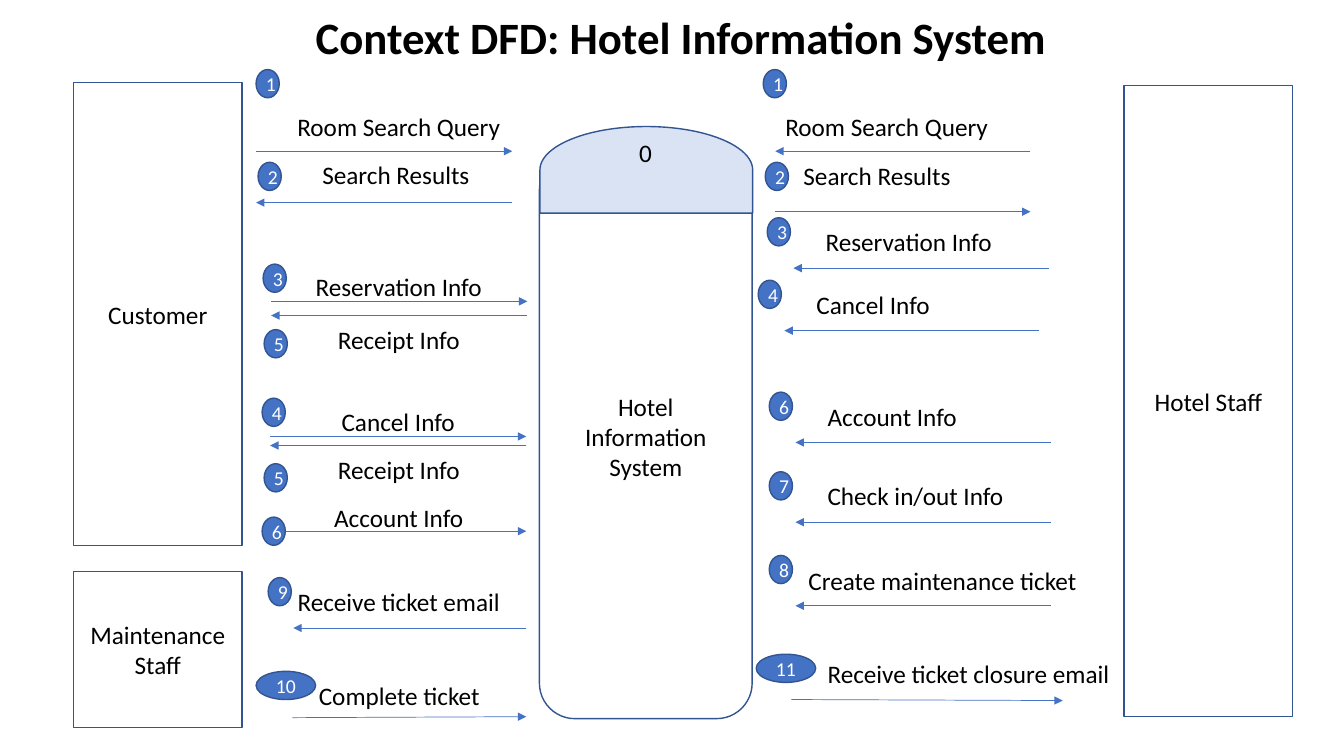
import dataclasses

import lxml.etree
import pptx
import pptx.dml.color
import pptx.enum.shapes
import pptx.enum.text
import pptx.oxml.ns
import pptx.util

Inches = pptx.util.Inches
RGBColor = pptx.dml.color.RGBColor
SHAPE = pptx.enum.shapes.MSO_SHAPE
ALIGN = pptx.enum.text.PP_ALIGN
ANCHOR = pptx.enum.text.MSO_ANCHOR
AUTO_SIZE = pptx.enum.text.MSO_AUTO_SIZE

BLACK = RGBColor(0x00, 0x00, 0x00)
WHITE = RGBColor(0xFF, 0xFF, 0xFF)
BLUE = RGBColor(0x44, 0x72, 0xC4)
PALE_BLUE = RGBColor(0xDA, 0xE3, 0xF3)
OUTLINE = RGBColor(0x32, 0x54, 0x91)

BODY = {"name": "Calibri", "size": pptx.util.Pt(18), "bold": False}
BADGE = BODY | {"size": pptx.util.Pt(14)}
TITLE = BODY | {"size": pptx.util.Pt(32), "bold": True}

Point = tuple[float, float]
Box = tuple[float, float, float, float]


@dataclasses.dataclass(frozen=True)
class Entity:
    name: str
    box: Box


@dataclasses.dataclass(frozen=True)
class Flow:
    number: int
    label: str
    badge: Point
    text: Point
    width: float
    start: Point
    end: Point
    wrap: bool = False


ENTITIES = [
    Entity("Customer", (0.73, 0.82, 1.67, 4.59)),
    Entity("Hotel Staff", (11.15, 0.85, 1.67, 6.26)),
    Entity("Maintenance\nStaff", (0.73, 5.67, 1.67, 1.55)),
]

# Flows between the system and the customer or maintenance staff
LEFT_FLOWS = [
    Flow(1, "Room Search Query", (2.54, 0.69), (2.59, 1.06), 2.73, (2.54, 1.5), (5.08, 1.5), True),
    Flow(2, "Search Results ", (2.56, 1.61), (2.78, 1.53), 2.35, (5.08, 2.01), (2.54, 2.01), True),
    Flow(3, "Reservation Info", (2.61, 2.62), (3.02, 2.64), 1.87, (2.69, 2.99), (5.23, 2.99)),
    Flow(5, "Receipt Info", (2.62, 3.27), (2.78, 3.17), 2.35, (5.23, 3.13), (2.69, 3.13), True),
    Flow(4, "Cancel Info", (2.6, 3.95), (3.28, 3.98), 1.34, (2.68, 4.33), (5.22, 4.33)),
    Flow(5, "Receipt Info", (2.62, 4.6), (2.78, 4.46), 2.35, (5.22, 4.42), (2.68, 4.42), True),
    Flow(6, "Account Info", (2.6, 5.13), (2.78, 4.93), 2.35, (2.68, 5.27), (5.22, 5.27), True),
    Flow(9, "Receive ticket email", (2.66, 5.73), (2.84, 5.77), 2.23, (5.22, 6.23), (2.91, 6.23)),
    Flow(10, "Complete ticket", (2.54, 6.66), (3.05, 6.7), 1.82, (2.9, 7.12), (5.22, 7.11)),
]

# Flows between the system and the hotel staff
RIGHT_FLOWS = [
    Flow(1, "Room Search Query", (7.57, 0.69), (7.69, 1.06), 2.73, (10.22, 1.5), (7.69, 1.5), True),
    Flow(2, "Search Results", (7.59, 1.61), (7.87, 1.54), 2.35, (7.69, 2.1), (10.22, 2.1), True),
    Flow(3, "Reservation Info", (7.61, 2.16), (8.09, 2.2), 1.87, (10.4, 2.66), (7.87, 2.66)),
    Flow(4, "Cancel Info", (7.52, 2.78), (8, 2.82), 1.34, (10.31, 3.28), (7.78, 3.28)),
    Flow(6, "Account Info", (7.63, 3.89), (8.11, 3.93), 1.5, (10.42, 4.39), (7.89, 4.39)),
    Flow(7, "Check in/out Info", (7.63, 4.68), (8.11, 4.72), 1.97, (10.42, 5.18), (7.89, 5.18)),
    Flow(8, "Create maintenance ticket", (7.63, 5.51), (7.92, 5.56), 2.89, (10.42, 6.01), (7.89, 6.01)),
    Flow(11, "Receive ticket closure email", (7.5, 6.49), (8.11, 6.48), 3.03, (7.85, 6.94), (10.54, 6.95)),
]


def write(tf, text: str, style: dict, color: RGBColor, align: ALIGN) -> None:
    tf.text = text
    for p in tf.paragraphs:
        p.alignment = align
        for r in p.runs:
            for key, value in style.items():
                setattr(r.font, key, value)
            r.font.color.rgb = color


def add_block(shapes, kind: SHAPE, box: Box, fill: RGBColor, text: str = "",
              style: dict = BODY, color: RGBColor = BLACK):
    sp = shapes.add_shape(kind, *map(Inches, box))
    sp.shadow.inherit = False
    sp.fill.solid()
    sp.fill.fore_color.rgb = fill
    sp.line.color.rgb = OUTLINE
    sp.line.width = pptx.util.Pt(1)
    sp.text_frame.vertical_anchor = ANCHOR.MIDDLE
    write(sp.text_frame, text, style, color, ALIGN.CENTER)
    return sp


def add_label(shapes, text: str, box: Box, align: ALIGN, wrap: bool = False) -> None:
    tf = shapes.add_textbox(*map(Inches, box)).text_frame
    tf.word_wrap = wrap
    tf.auto_size = AUTO_SIZE.SHAPE_TO_FIT_TEXT
    write(tf, text, BODY, BLACK, align)


def add_arrow(shapes, start: Point, end: Point) -> None:
    cx = shapes.add_connector(pptx.enum.shapes.MSO_CONNECTOR.STRAIGHT, *map(Inches, start + end))
    cx.line.color.rgb = BLUE
    cx.line.width = pptx.util.Pt(0.5)
    qn = pptx.oxml.ns.qn
    lxml.etree.SubElement(cx.line._get_or_add_ln(), qn("a:tailEnd"), type="triangle")
    lxml.etree.SubElement(cx._element.spPr, qn("a:effectLst"))


def add_flow(shapes, flow: Flow, align: ALIGN) -> None:
    add_label(shapes, flow.label, (*flow.text, flow.width, 0.4), align, flow.wrap)
    add_arrow(shapes, flow.start, flow.end)
    badge_width = 0.23 if flow.number < 10 else 0.59
    add_block(shapes, SHAPE.OVAL, (*flow.badge, badge_width, 0.28), BLUE,
              str(flow.number), BADGE, WHITE)


def add_title(s, text: str) -> None:
    title = s.shapes.title
    place = {"left": 3.03, "top": 0.05, "width": 7.51, "height": 0.64}
    for key, value in place.items():
        setattr(title, key, Inches(value))
    tf = title.text_frame
    tf.word_wrap = False
    tf.auto_size = AUTO_SIZE.NONE
    tf.vertical_anchor = ANCHOR.TOP
    write(tf, text, TITLE, BLACK, ALIGN.LEFT)


def add_system(s) -> None:
    shapes = s.shapes.add_group_shape().shapes
    add_block(shapes, SHAPE.ROUNDED_RECTANGLE, (5.35, 1.53, 2.11, 5.6), WHITE,
              "Hotel Information System")
    cap = add_block(shapes, SHAPE.FLOWCHART_DELAY, (5.98, 0.63, 0.86, 2.11), PALE_BLUE)
    cap.rotation = 270
    add_label(shapes, "0", (6.24, 1.31, 0.33, 0.4), ALIGN.LEFT)


def main() -> None:
    prs = pptx.Presentation()
    prs.slide_width, prs.slide_height = Inches(13.33), Inches(7.5)
    s = prs.slides.add_slide(prs.slide_layouts[5])

    # Title, outside parties and the system
    add_title(s, "Context DFD: Hotel Information System")
    for entity in ENTITIES:
        add_block(s.shapes, SHAPE.RECTANGLE, entity.box, WHITE, entity.name)
    add_system(s)

    # Numbered data flows
    for flows, align in ((LEFT_FLOWS, ALIGN.CENTER), (RIGHT_FLOWS, ALIGN.LEFT)):
        for flow in flows:
            add_flow(s.shapes, flow, align)

    prs.save("out.pptx")


if __name__ == "__main__":
    main()
